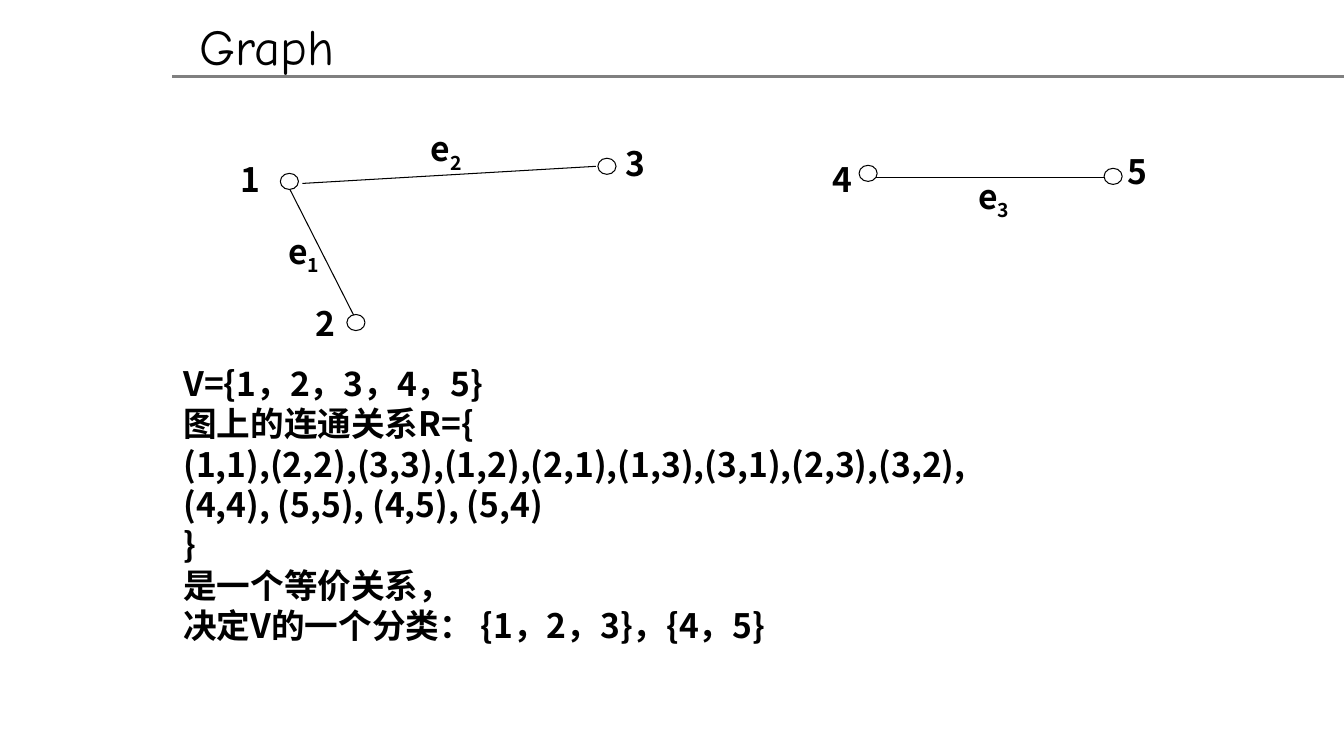
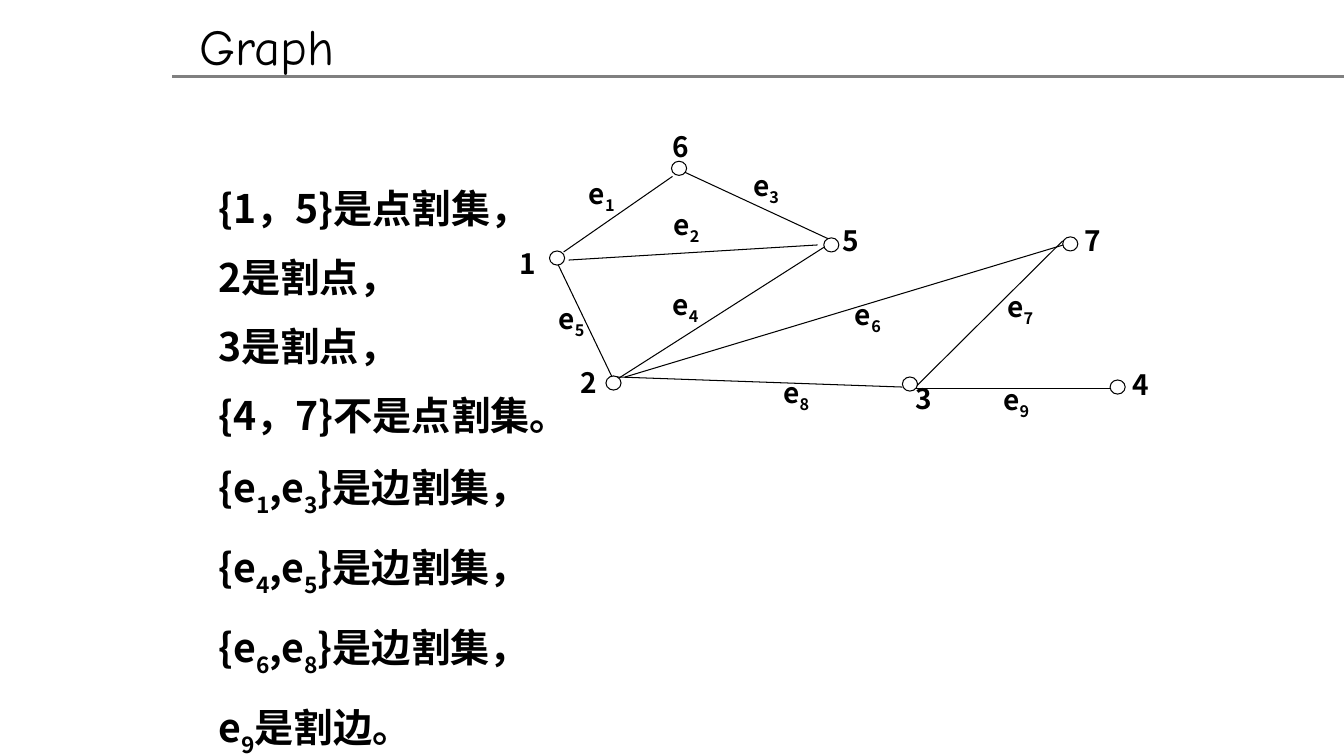
from dataclasses import dataclass

from pptx import Presentation
from pptx.dml.color import RGBColor
from pptx.enum.shapes import MSO_CONNECTOR, MSO_SHAPE
from pptx.enum.text import MSO_ANCHOR, MSO_AUTO_SIZE, PP_ALIGN
from pptx.oxml import parse_xml
from pptx.oxml.ns import nsdecls
from pptx.util import Pt

PX = 9144  # one px is a hundredth of an inch
SLIDE_SIZE = (1333, 750)
TITLE_ONLY = 5


@dataclass(frozen=True)
class Theme:
    ink: RGBColor = RGBColor(0, 0, 0)
    paper: RGBColor = RGBColor(255, 255, 255)
    rule: RGBColor = RGBColor(0x80, 0x80, 0x80)
    title_font: str = "Comic Neue"
    body_font: str = "Noto Sans CJK SC"
    title_size: int = 36
    rule_width: float = 2
    edge_width: float = 0.75


THEME = Theme()
TITLE = "Graph"
TITLE_BOX = (188, 10, 862, 71)
RULE = ((171, 76), (1333, 76))
TEXT_INSETS = (10, 5, 10, 5)
NO_INSETS = (0, 0, 0, 0)

# In texts, "_" lowers the next character.
# nodes: name, corner of the circle, corner of the label
# edges: name, start, end, corner of the label
SLIDES = [
    {
        "node_size": (18, 16),
        "label_box": (69, 55),
        "label_size": 24,
        "nodes": [
            ("1", (278, 172), (239, 158)),
            ("2", (344, 312), (313, 300)),
            ("3", (593, 157), (620, 142)),
            ("4", (852, 164), (826, 158)),
            ("5", (1095, 167), (1118, 150)),
        ],
        "edges": [
            ("e_1", (282, 177), (352, 315), (286, 229)),
            ("e_2", (300, 182), (591, 165), (427, 127)),
            ("e_3", (868, 176), (1111, 176), (970, 174)),
        ],
        "body_box": (172, 355, 973, 378),
        "body_size": 24,
        "body_format": {"alignment": PP_ALIGN.JUSTIFY},
        "space_before": 0,
        "subscript": -25,
        "body": [
            "V={1，2，3，4，5}",
            "图上的连通关系R={",
            "(1,1),(2,2),(3,3),(1,2),(2,1),(1,3),(3,1),(2,3),(3,2),",
            "(4,4), (5,5), (4,5), (5,4)",
            "}",
            "是一个等价关系，",
            "决定V的一个分类： {1，2，3}，{4，5}",
        ],
    },
    {
        "node_size": (15, 14),
        "label_box": (59, 49),
        "label_size": 20,
        "nodes": [
            ("1", (545, 249), (515, 245)),
            ("2", (601, 373), (576, 363)),
            ("3", (895, 374), (908, 378)),
            ("4", (1101, 377), (1123, 365)),
            ("5", (817, 236), (836, 222)),
            ("6", (666, 160), (667, 128)),
            ("7", (1054, 235), (1076, 222)),
        ],
        "edges": [
            ("e_1", (559, 250), (667, 175), (584, 175)),
            ("e_2", (564, 258), (811, 243), (668, 206)),
            ("e_3", (673, 168), (826, 239), (747, 167)),
            ("e_4", (824, 241), (614, 375), (667, 285)),
            ("e_5", (549, 253), (608, 376), (554, 299)),
            ("e_6", (620, 374), (1068, 239), (848, 295)),
            ("e_7", (1054, 239), (906, 386), (999, 287)),
            ("e_8", (612, 374), (895, 384), (777, 372)),
            ("e_9", (908, 385), (1115, 385), (995, 379)),
        ],
        "body_box": (207, 164, 480, 609),
        "body_size": 28,
        "body_format": {"line_spacing": 1.3},
        "space_before": 5.6,
        "subscript": -30,
        "body": [
            "{1，5}是点割集，",
            "2是割点，",
            "3是割点，",
            "{4，7}不是点割集。",
            "{e_1,e_3}是边割集，",
            "{e_4,e_5}是边割集，",
            "{e_6,e_8}是边割集，",
            "e_9是割边。",
        ],
    },
]


def emu(lengths):
    return [length * PX for length in lengths]


def set_format(target, values):
    for name, value in values.items():
        setattr(target, name, value)


def style_frame(frame, insets):
    sides = ("margin_left", "margin_top", "margin_right", "margin_bottom")
    set_format(frame, dict(zip(sides, emu(insets))))
    set_format(frame, {"word_wrap": True, "auto_size": MSO_AUTO_SIZE.NONE,
                       "vertical_anchor": MSO_ANCHOR.TOP})


def add_run(paragraph, text, font_name, size, bold=True):
    run = paragraph.add_run()
    run.text = text
    set_format(run.font, {"name": font_name, "size": Pt(size), "bold": bold})
    run.font.color.rgb = THEME.ink
    run.font._element.append(
        parse_xml(f'<a:ea {nsdecls("a")} typeface="{font_name}"/>'))
    return run


def add_marked_text(paragraph, text, size, subscript):
    """Write text, lowering each character that follows an underscore."""
    first, *rest = text.split("_")
    pieces = [(first, 0)]
    for part in rest:
        pieces += [(part[0], subscript), (part[1:], 0)]
    for piece, baseline in pieces:
        if piece:
            run = add_run(paragraph, piece, THEME.body_font, size)
            if baseline:
                run.font._element.set("baseline", str(baseline * 1000))


def add_text_box(slide, box, insets):
    frame = slide.shapes.add_textbox(*emu(box)).text_frame
    style_frame(frame, insets)
    return frame


def add_line(slide, start, end, color, width):
    line = slide.shapes.add_connector(MSO_CONNECTOR.STRAIGHT, *emu(start + end))
    line.line.color.rgb = color
    line.line.width = Pt(width)
    line._element.spPr.append(parse_xml(f'<a:effectLst {nsdecls("a")}/>'))


def add_header(slide):
    add_line(slide, *RULE, THEME.rule, THEME.rule_width)
    title = slide.shapes.title
    sides = ("left", "top", "width", "height")
    set_format(title, dict(zip(sides, emu(TITLE_BOX))))
    style_frame(title.text_frame, TEXT_INSETS)
    paragraph = title.text_frame.paragraphs[0]
    paragraph.alignment = PP_ALIGN.LEFT
    add_run(paragraph, TITLE, THEME.title_font, THEME.title_size, bold=False)


def add_node(slide, corner, size):
    node = slide.shapes.add_shape(MSO_SHAPE.OVAL, *emu(corner + size))
    node.shadow.inherit = False
    node.fill.solid()
    node.fill.fore_color.rgb = THEME.paper
    node.line.color.rgb = THEME.ink
    node.line.width = Pt(THEME.edge_width)


def add_graph(slide, content):
    for _, start, end, _ in content["edges"]:
        add_line(slide, start, end, THEME.ink, THEME.edge_width)
    for _, corner, _ in content["nodes"]:
        add_node(slide, corner, content["node_size"])
    for name, *_, corner in content["nodes"] + content["edges"]:
        frame = add_text_box(slide, corner + content["label_box"], NO_INSETS)
        paragraph = frame.paragraphs[0]
        paragraph.alignment = PP_ALIGN.JUSTIFY
        add_marked_text(paragraph, name, content["label_size"], -25)


def add_body(slide, content):
    frame = add_text_box(slide, content["body_box"], TEXT_INSETS)
    for index, text in enumerate(content["body"]):
        paragraph = frame.add_paragraph() if index else frame.paragraphs[0]
        set_format(paragraph, content["body_format"])
        paragraph.space_before = Pt(content["space_before"] if index else 0)
        add_marked_text(paragraph, text, content["body_size"],
                        content["subscript"])


def main():
    presentation = Presentation()
    presentation.slide_width, presentation.slide_height = emu(SLIDE_SIZE)
    for content in SLIDES:
        slide = presentation.slides.add_slide(
            presentation.slide_layouts[TITLE_ONLY])
        add_header(slide)
        add_body(slide, content)
        add_graph(slide, content)
    presentation.save("out.pptx")


if __name__ == "__main__":
    main()
